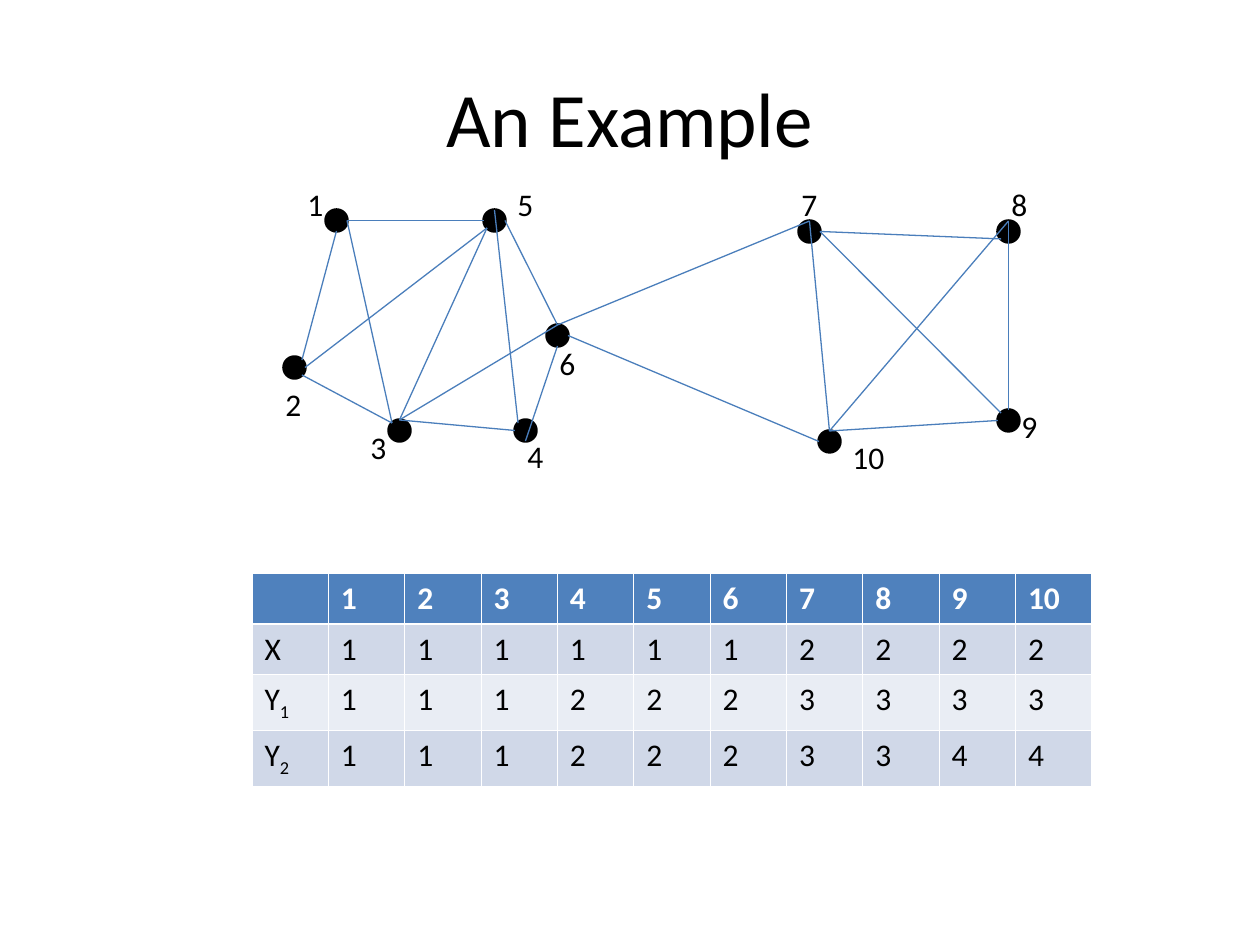
from math import sqrt
from pptx import Presentation
from pptx.dml.color import RGBColor
from pptx.enum.shapes import MSO_CONNECTOR, MSO_SHAPE
from pptx.enum.text import MSO_ANCHOR, MSO_AUTO_SIZE, PP_ALIGN
from pptx.oxml.ns import qn
from pptx.util import Pt
from lxml.etree import SubElement

SCALE = 914400 / 126  # EMU per px


def px(*lengths):
    return [round(length * SCALE) for length in lengths]


def write(paragraph, text, color, **font_values):
    run = paragraph.add_run()
    run.text = text
    values = {"name": "Calibri", "size": Pt(18), "bold": False} | font_values
    for name, value in values.items():
        setattr(run.font, name, value)
    run.font.color.rgb = RGBColor.from_string(color)
    return run


presentation = Presentation()
presentation.slide_width, presentation.slide_height = px(1260, 945)
slide = presentation.slides.add_slide(presentation.slide_layouts[6])

# Title
title = slide.shapes.add_textbox(*px(63, 38, 1134, 157))
title.text_frame.word_wrap = True
title.text_frame.vertical_anchor = MSO_ANCHOR.MIDDLE
title.text_frame.paragraphs[0].alignment = PP_ALIGN.CENTER
write(title.text_frame.paragraphs[0], "An Example", "000000", size=Pt(44))

# Graph nodes: number -> left and top of the dot, left and top of the label
DOT = 21
nodes = {
    1: (326, 210, 295, 179),
    2: (284, 357, 273, 379),
    3: (389, 420, 358, 422),
    4: (515, 420, 515, 431),
    5: (484, 210, 505, 179),
    6: (547, 325, 547, 338),
    7: (799, 221, 789, 179),
    8: (998, 221, 999, 179),
    9: (998, 410, 1009, 401),
    10: (819, 431, 840, 432),
}
graph = slide.shapes.add_group_shape()
for left, top, *_ in nodes.values():
    dot = graph.shapes.add_shape(MSO_SHAPE.OVAL, *px(left, top, DOT, DOT))
    dot.shadow.inherit = False
    dot.fill.solid()
    for color_format in (dot.fill.fore_color, dot.line.color):
        color_format.rgb = RGBColor.from_string("000000")
    dot.line.width = Pt(2)

# Graph edges: each end is a node and the compass point on its rim
DIAGONAL = sqrt(0.5)
compass = {
    "N": (0, -1), "E": (1, 0), "S": (0, 1), "W": (-1, 0),
    "NE": (DIAGONAL, -DIAGONAL), "SE": (DIAGONAL, DIAGONAL),
    "SW": (-DIAGONAL, DIAGONAL), "NW": (-DIAGONAL, -DIAGONAL),
}
edges = [
    (2, "NE", 1, "S"), (2, "E", 5, "SW"), (2, "SE", 3, "NW"),
    (1, "E", 3, "NW"), (1, "E", 5, "W"), (5, "SW", 3, "N"),
    (3, "N", 4, "W"), (5, "N", 4, "NW"), (6, "S", 4, "S"),
    (3, "N", 6, "N"), (5, "E", 6, "N"), (6, "N", 7, "N"),
    (6, "E", 10, "W"), (7, "E", 8, "SW"), (8, "N", 9, "N"),
    (10, "N", 9, "W"), (7, "N", 10, "N"), (7, "E", 9, "NW"),
    (8, "N", 10, "N"),
]
for start, start_side, end, end_side in edges:
    points = []
    for node, side in ((start, start_side), (end, end_side)):
        for corner, direction in zip(nodes[node], compass[side]):
            points.append(corner + DOT / 2 * (1 + direction))
    edge = graph.shapes.add_connector(MSO_CONNECTOR.STRAIGHT, *px(*points))
    edge.line.color.rgb = RGBColor.from_string("4A7EBB")
    edge.line.width = Pt(0.75)
    SubElement(edge._element.spPr, qn("a:effectLst"))

# Node labels
for number, (*_, left, top) in nodes.items():
    width = 40 if number < 10 else 57
    label = graph.shapes.add_textbox(*px(left, top, width, 50))
    label.text_frame.word_wrap = False
    label.text_frame.auto_size = MSO_AUTO_SIZE.SHAPE_TO_FIT_TEXT
    write(label.text_frame.paragraphs[0], str(number), "000000")

# Assignment table: name, subscript, values, height, fill
rows = [
    ("", "", nodes, 51, "4F81BD"),
    ("X", "", [1] * 6 + [2] * 4, 50, "D0D8E8"),
    ("Y", "1", [1] * 3 + [2] * 3 + [3] * 4, 56, "E9EDF4"),
    ("Y", "2", [1] * 3 + [2] * 3 + [3] * 2 + [4] * 2, 56, "D0D8E8"),
]
columns = len(nodes) + 1
table = slide.shapes.add_table(len(rows), columns, *px(252, 573, 840, 213)).table
for column in table.columns:
    column.width = px(840 / columns)[0]

for row_index, (name, subscript, values, height, fill) in enumerate(rows):
    is_header = row_index == 0
    table.rows[row_index].height = px(height)[0]
    color = "FFFFFF" if is_header else "000000"
    for column_index, text in enumerate([name, *map(str, values)]):
        cell = table.cell(row_index, column_index)
        paragraph = cell.text_frame.paragraphs[0]
        if text:
            write(paragraph, text, color, bold=is_header)
        if column_index == 0 and subscript:
            run = write(paragraph, subscript, color)
            run._r.get_or_add_rPr().set("baseline", "-25000")
        # White borders, heavier between the header and the body
        heavy_side = {0: "lnB", 1: "lnT"}.get(row_index)
        for side in ("lnL", "lnR", "lnT", "lnB"):
            border_width = Pt(1.5 if side == heavy_side else 0.45)
            border = SubElement(cell._tc.get_or_add_tcPr(), qn(f"a:{side}"), w=str(border_width))
            border_fill = SubElement(border, qn("a:solidFill"))
            SubElement(border_fill, qn("a:srgbClr"), val="FFFFFF")
        cell.fill.solid()
        cell.fill.fore_color.rgb = RGBColor.from_string(fill)

presentation.save("out.pptx")
